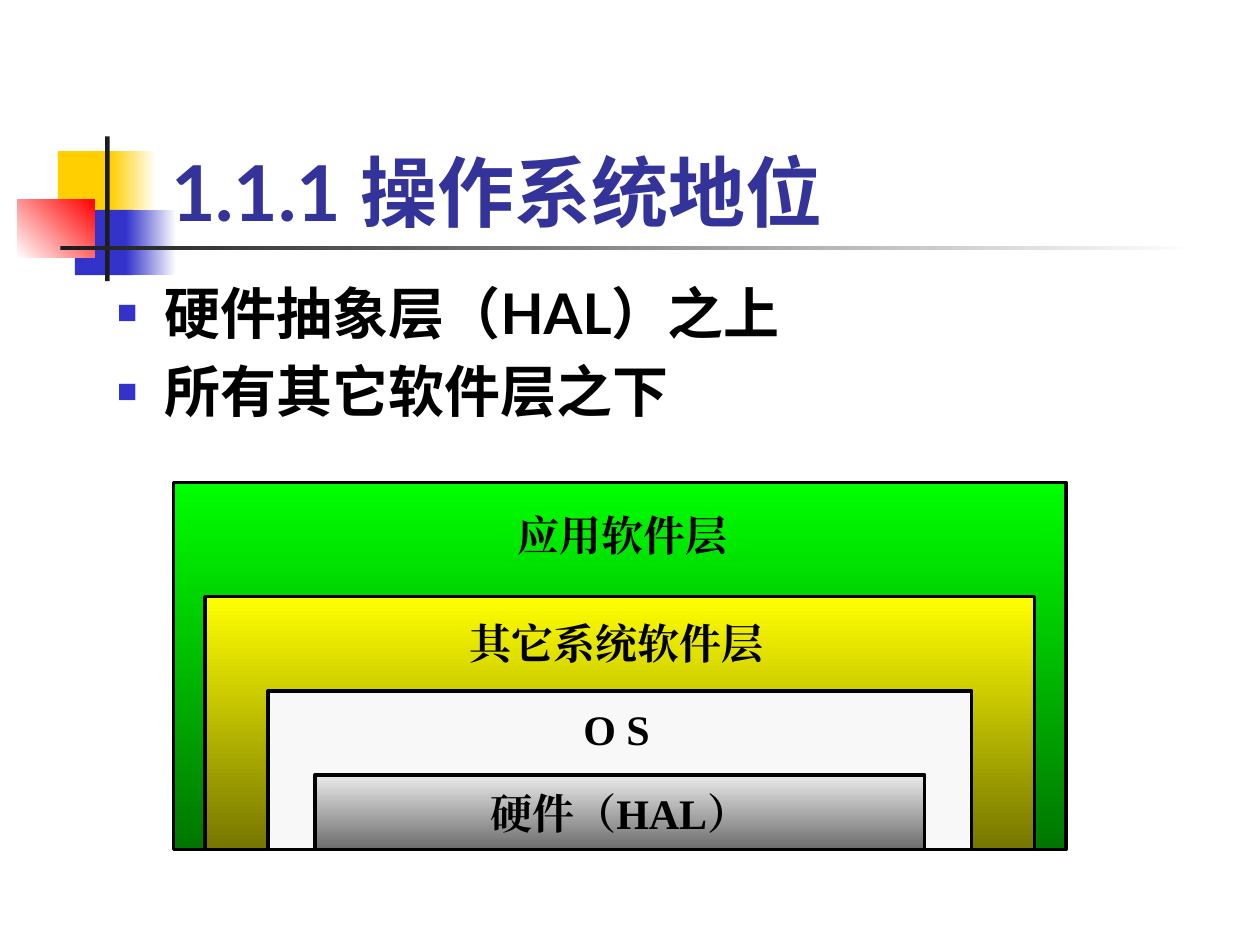
from lxml import etree
from pptx import Presentation
from pptx.dml.color import RGBColor
from pptx.enum.lang import MSO_LANGUAGE_ID as Lang
from pptx.enum.shapes import MSO_SHAPE as Shape
from pptx.enum.text import MSO_ANCHOR as Anchor, PP_ALIGN as Align
from pptx.oxml.ns import qn
from pptx.util import Cm, Pt

BLACK = RGBColor(0x00, 0x00, 0x00)
WHITE = RGBColor(0xFF, 0xFF, 0xFF)
INK = RGBColor(0x1C, 0x1C, 0x1C)
GOLD = RGBColor(0xFF, 0xCF, 0x01)
BLUE = RGBColor(0x33, 0x33, 0xCC)
NAVY = RGBColor(0x33, 0x33, 0x99)
RED = RGBColor(0xFF, 0x00, 0x00)
GREEN = RGBColor(0x00, 0xFF, 0x00)
DARK_GREEN = RGBColor(0x00, 0x76, 0x00)
YELLOW = RGBColor(0xFF, 0xFF, 0x00)
OLIVE = RGBColor(0x76, 0x76, 0x00)
PALE = RGBColor(0xF8, 0xF8, 0xF8)
SILVER = RGBColor(0xEA, 0xEA, 0xEA)
GREY = RGBColor(0x6C, 0x6C, 0x6C)


def add_rect(s, x, y, w, h, colors, angle=0, outlined=False):
    """Add a rectangle with one solid colour or a two-colour gradient."""
    sp = s.shapes.add_shape(Shape.RECTANGLE, Cm(x), Cm(y), Cm(w), Cm(h))
    sp.shadow.inherit = False
    if len(colors) == 1:
        sp.fill.solid()
        sp.fill.fore_color.rgb = colors[0]
    else:
        sp.fill.gradient()
        sp.fill.gradient_angle = angle
        for stop, color in zip(sp.fill.gradient_stops, colors):
            stop.color.rgb = color
    if outlined:
        sp.line.color.rgb = BLACK
        sp.line.width = Pt(2)
    else:
        sp.line.fill.background()
    return sp


def add_bullet(p):
    """Give a paragraph a hanging square bullet."""
    pPr = p._p.get_or_add_pPr()
    pPr.set("marL", str(Cm(0.95)))
    pPr.set("indent", str(-Cm(0.95)))
    color = etree.SubElement(pPr, qn("a:buClr"))
    etree.SubElement(color, qn("a:srgbClr"), val=str(BLUE))
    etree.SubElement(pPr, qn("a:buSzPct"), val="60000")
    etree.SubElement(pPr, qn("a:buFont"), typeface="Arial")
    etree.SubElement(pPr, qn("a:buChar"), char="■")


def write_text(sp, lines, size=24, font="Times New Roman", color=BLACK,
               anchor=Anchor.TOP, align=Align.LEFT, wrap=False,
               bullets=False, gap=0):
    """Fill a shape with bold paragraphs."""
    tf = sp.text_frame
    tf.word_wrap = wrap
    tf.vertical_anchor = anchor
    for i, line in enumerate(lines):
        p = tf.add_paragraph() if i else tf.paragraphs[0]
        if bullets:
            add_bullet(p)
        p.alignment = align
        if i:
            p.space_before = Pt(gap)
        r = p.add_run()
        r.text = line
        r.font.size = Pt(size)
        r.font.bold = True
        r.font.color.rgb = color
        r.font.name = font
        r.font.language_id = Lang.SIMPLIFIED_CHINESE
        etree.SubElement(r._r.get_or_add_rPr(), qn("a:ea"), typeface=font)


def add_text(s, x, y, w, h, lines, **fmt):
    """Add a text box with formatted paragraphs."""
    sp = s.shapes.add_textbox(Cm(x), Cm(y), Cm(w), Cm(h))
    write_text(sp, lines, **fmt)
    return sp


def add_ornament(s, x, y):
    """Draw the coloured squares and crossing rules beside the title."""
    for dx, dy, w, h, colors, angle in (
        (0.82, 0.3, 1.22, 1.32, (GOLD,), 0),
        (1.88, 0.3, 0.92, 1.32, (GOLD, WHITE), 0),
        (1.16, 1.48, 1.17, 1.32, (BLUE,), 0),
        (2.19, 1.48, 1.01, 1.32, (BLUE, WHITE), 0),
        (0, 1.27, 1.56, 1.18, (WHITE, RED), 45),
        (1.77, 0, 0.09, 2.92, (INK,), 0),
        (0.87, 2.2, 22.86, 0.09, (INK, WHITE), 0),
    ):
        add_rect(s, x + dx, y + dy, w, h, colors, angle)


def add_layers(s, x, y, w, h):
    """Draw the nested software layers standing on a common base."""
    for inset, top, colors in (
        (0, 0, (GREEN, DARK_GREEN)),
        (0.63, 2.3, (YELLOW, OLIVE)),
        (1.9, 4.2, (PALE,)),
        (2.85, 5.89, (SILVER, GREY)),
    ):
        sp = add_rect(s, x + inset, y + top, w - 2 * inset, h - top,
                      colors, 270, outlined=True)
    write_text(sp, ["硬件（HAL）"], anchor=Anchor.MIDDLE, align=Align.CENTER)
    for dx, dy, width, label in (
        (8.01, 4.32, 2.16, "O S"),
        (5.72, 2.59, 6.48, "其它系统软件层"),
        (6.68, 0.41, 4.78, "应用软件层"),
    ):
        add_text(s, x + dx, y + dy, width, 1.27, [label])


def main():
    """Build the slide and save it."""
    prs = Presentation()
    prs.slide_width, prs.slide_height = Cm(25.4), Cm(19.05)
    s = prs.slides.add_slide(prs.slide_layouts[6])
    add_ornament(s, 0.35, 2.75)
    add_text(s, 3.2, 1.73, 21.64, 3.18, ["1.1.1 操作系统地位"], size=44,
             font="Lato", color=NAVY, anchor=Anchor.BOTTOM, wrap=True)
    add_text(s, 2.11, 5.49, 21.59, 11.43,
             ["硬件抽象层（HAL）之上", "所有其它软件层之下"], size=32,
             font="Lato", wrap=True, bullets=True, gap=6.4)
    add_layers(s, 3.5, 9.73, 17.99, 7.4)
    prs.save("out.pptx")


if __name__ == "__main__":
    main()
